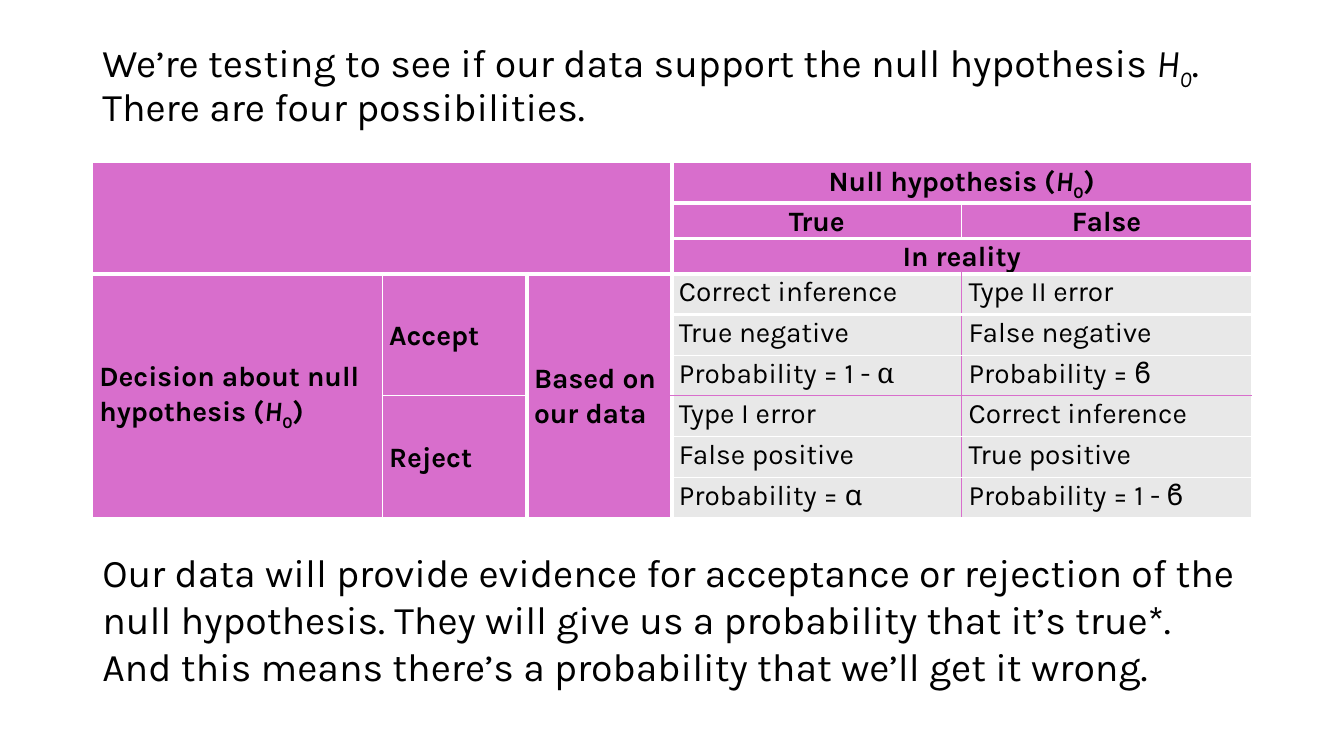
from lxml.etree import SubElement
from pptx import Presentation
from pptx.dml.color import RGBColor
from pptx.enum.text import MSO_ANCHOR as Anchor, MSO_AUTO_SIZE as AutoSize, PP_ALIGN as Align
from pptx.oxml.ns import qn
from pptx.util import Pt

BLACK = RGBColor(0x00, 0x00, 0x00)
WHITE = RGBColor(0xFF, 0xFF, 0xFF)
PINK = RGBColor(0xD8, 0x6E, 0xCC)
GREY = RGBColor(0xE8, 0xE8, 0xE8)

LEFT, WIDTH = Pt(66), Pt(828)
THIN, HEAVY, ACCENT = (WHITE, 1), (WHITE, 3), (PINK, 1)


def add_runs(para, runs, size, bold=False):
    """Marks: i italic, s subscript, c Cambria."""
    for text, marks in runs:
        span = para.add_run()
        span.text = text
        font = span.font
        font.name = "Cambria" if "c" in marks else "Karla"
        font.size = Pt(size)
        font.bold = bold
        font.italic = "i" in marks
        font.color.rgb = BLACK
        if "s" in marks:
            span._r.get_or_add_rPr().set("baseline", "-25000")


def set_borders(cell, borders):
    """Borders come in the order left, right, top, bottom."""
    props = cell._tc.get_or_add_tcPr()
    for index, (tag, (color, points)) in enumerate(zip(("a:lnL", "a:lnR", "a:lnT", "a:lnB"), borders)):
        line = SubElement(props, qn(tag), w=str(Pt(points)))
        SubElement(SubElement(line, qn("a:solidFill")), qn("a:srgbClr"), val=str(color))
        props.insert(index, line)


deck = Presentation()
deck.slide_width, deck.slide_height = Pt(960), Pt(540)
page = deck.slides.add_slide(deck.slide_layouts[5])

# Heading
heading = page.shapes.title
heading.left, heading.top, heading.width, heading.height = LEFT, Pt(24.5), WIDTH, Pt(75)
frame = heading.text_frame
frame.word_wrap = True
frame.auto_size = AutoSize.NONE
frame.vertical_anchor = Anchor.TOP
para = frame.paragraphs[0]
para.alignment = Align.LEFT
para.line_spacing = 0.9
para.space_before = Pt(10)
add_runs(para, [("We’re testing to see if our data support the null hypothesis ", ""),
                ("H", "i"), ("0", "is"), (". There are four possibilities.", "")], 28)

# Decision table: (row, column, rows spanned, columns spanned) and runs
H0 = [("H", "i"), ("0", "s"), (")", "")]
headers = {
    (0, 0, 3, 3): [],
    (0, 3, 1, 2): [("Null hypothesis (", "")] + H0,
    (1, 3, 1, 1): [("True", "")],
    (1, 4, 1, 1): [("False", "")],
    (2, 3, 1, 2): [("In reality", "")],
    (3, 0, 6, 1): [("Decision about null hypothesis (", "")] + H0,
    (3, 1, 3, 1): [("Accept", "")],
    (6, 1, 3, 1): [("Reject", "")],
    (3, 2, 6, 1): [("Based on our data", "")],
}
outcomes = [
    ([("Correct inference", "")], [("Type II error", "")]),
    ([("True negative", "")], [("False negative", "")]),
    ([("Probability = 1 - ", ""), ("α", "c")], [("Probability = ϐ", "")]),
    ([("Type I error", "")], [("Correct inference", "")]),
    ([("False positive", "")], [("True positive", "")]),
    ([("Probability = α", "")], [("Probability = 1 - ϐ", "")]),
]
entries = dict(headers)
for row, pair in enumerate(outcomes, start=3):
    for column, runs in enumerate(pair, start=3):
        entries[row, column, 1, 1] = runs

table = page.shapes.add_table(9, 5, LEFT, Pt(116), WIDTH, Pt(254.1)).table
table.first_row = table.horz_banding = False
for column, width in zip(table.columns, (207, 103.5, 103.5, 207, 207)):
    column.width = Pt(width)
for index, row in enumerate(table.rows):
    row.height = Pt(25.2 if index in (1, 2) else 29.1)

for (row, column, height, width), runs in entries.items():
    cell = table.cell(row, column)
    if height * width > 1:
        cell.merge(table.cell(row + height - 1, column + width - 1))
    is_outcome = row >= 3 and column >= 3
    cell.fill.solid()
    cell.fill.fore_color.rgb = GREY if is_outcome else PINK
    cell.margin_left = cell.margin_right = Pt(5)
    cell.margin_top = cell.margin_bottom = 0
    cell.vertical_anchor = Anchor.TOP if is_outcome else Anchor.MIDDLE

    # Each border follows from the grid line it lies on
    borders = []
    for edge in (column, column + width):
        heavy = edge == 3 or (edge == 2 and row >= 3)
        borders.append(HEAVY if heavy else ACCENT if edge == 4 and row >= 3 else THIN)
    for edge in (row, row + height):
        heavy = edge == 3 or (edge in (1, 2, 4) and column >= 3)
        borders.append(HEAVY if heavy else ACCENT if edge == 6 and column >= 3 else THIN)
    set_borders(cell, borders)

    para = cell.text_frame.paragraphs[0]
    para.alignment = Align.CENTER if row < 3 else Align.LEFT
    para.line_spacing = 1.07
    para.space_after = Pt(8)
    add_runs(para, runs, 20, bold=not is_outcome)

# Conclusion
box = page.shapes.add_textbox(LEFT, Pt(388), WIDTH, Pt(108.7))
frame = box.text_frame
frame.word_wrap = True
frame.auto_size = AutoSize.SHAPE_TO_FIT_TEXT
add_runs(frame.paragraphs[0], [(
    "Our data will provide evidence for acceptance or rejection of the null hypothesis. "
    "They will give us a probability that it’s true*. "
    "And this means there’s a probability that we’ll get it wrong.", "")], 28)

deck.save("out.pptx")
